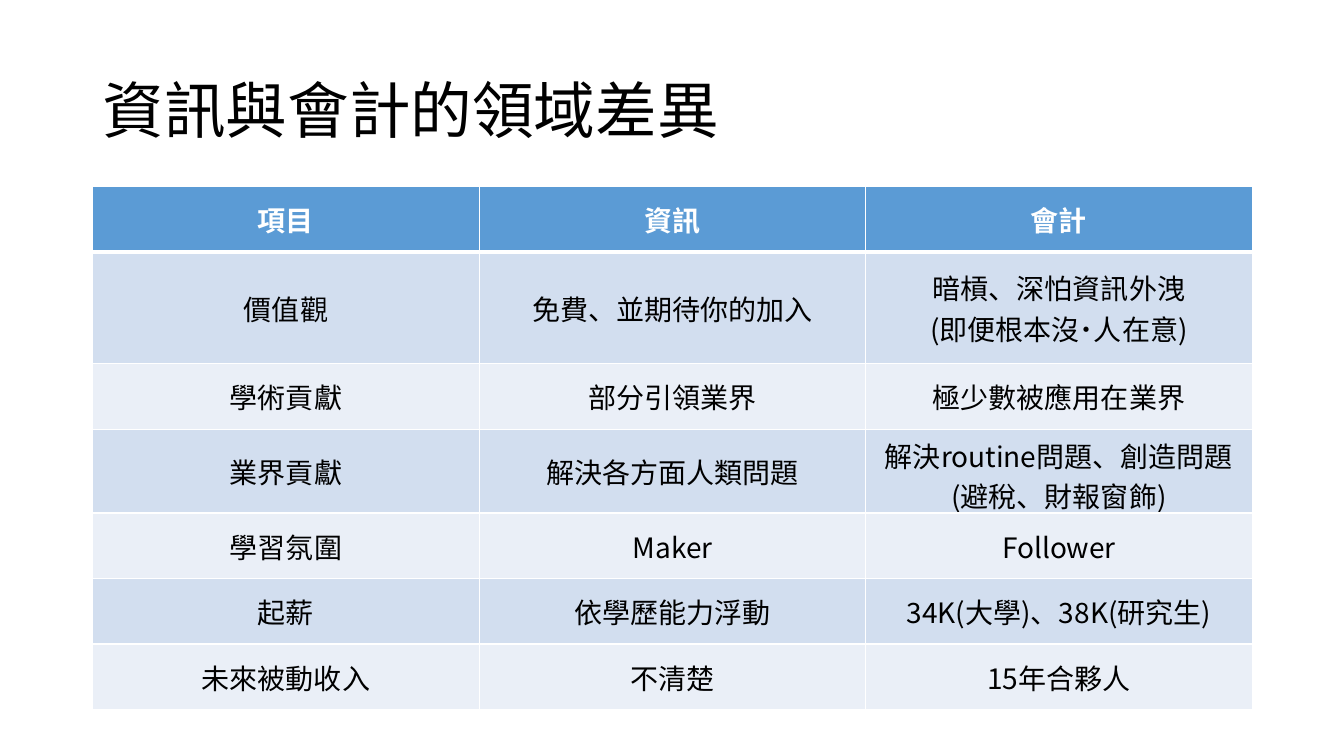
from lxml import etree
from pptx import Presentation
from pptx.dml.color import RGBColor
from pptx.enum import text
from pptx.oxml import ns
from pptx.util import Inches, Pt

TITLE = "資訊與會計的領域差異"
ROWS = [
    ("項目", "資訊", "會計"),
    ("價值觀", "免費、並期待你的加入", "暗槓、深怕資訊外洩\n(即便根本沒˙人在意)"),
    ("學術貢獻", "部分引領業界", "極少數被應用在業界"),
    ("業界貢獻", "解決各方面人類問題", "解決routine問題、創造問題(避稅、財報窗飾)"),
    ("學習氛圍", "Maker", "Follower"),
    ("起薪", "依學歷能力浮動", "34K(大學)、38K(研究生)"),
    ("未來被動收入", "不清楚", "15年合夥人"),
]
HEIGHTS = [0.65, 1.11, 0.65, 0.83, 0.65, 0.65, 0.65]
LEFT, WIDTH = 0.92, 11.5
FONT = "Noto Sans CJK SC"
COLORS = {
    "head": "5B9BD5",
    "odd": "D2DEEF",
    "even": "EAEFF7",
    "white": "FFFFFF",
    "black": "000000",
}


def write(frame, words, size=20, color="black", bold=False, align="LEFT", space=1.0):
    frame.word_wrap = True
    para = frame.paragraphs[0]
    para.alignment = getattr(text.PP_ALIGN, align)
    para.line_spacing = space
    for i, line in enumerate(words.split("\n")):
        if i:
            para.add_line_break()
        run = para.add_run()
        run.text = line
        font = run.font
        font.size, font.bold, font.name = Pt(size), bold, FONT
        font.color.rgb = RGBColor.from_string(COLORS[color])
        east = etree.SubElement(run._r.get_or_add_rPr(), ns.qn("a:ea"))
        east.set("typeface", FONT)


def edge(cell, top, bottom):
    props = cell._tc.get_or_add_tcPr()
    sides = [("L", 1), ("R", 1), ("T", top), ("B", bottom)]
    for i, (side, width) in enumerate(sides):
        line = etree.Element(ns.qn("a:ln" + side), w=str(Pt(width)))
        fill = etree.SubElement(line, ns.qn("a:solidFill"))
        etree.SubElement(fill, ns.qn("a:srgbClr"), val=COLORS["white"])
        props.insert(i, line)


def main():
    deck = Presentation()
    deck.slide_width, deck.slide_height = Inches(13.33), Inches(7.5)
    slide = deck.slides.add_slide(deck.slide_layouts[6])

    title = slide.shapes.add_textbox(
        Inches(LEFT), Inches(0.4), Inches(WIDTH), Inches(1.45)
    ).text_frame
    title.vertical_anchor = text.MSO_ANCHOR.MIDDLE
    write(title, TITLE, size=44, space=0.9)

    table = slide.shapes.add_table(
        len(ROWS), len(ROWS[0]), Inches(LEFT), Inches(1.85),
        Inches(WIDTH), Inches(sum(HEIGHTS)),
    ).table
    for r, (row, high) in enumerate(zip(ROWS, HEIGHTS)):
        table.rows[r].height = Inches(high)
        head = r == 0
        shade = "head" if head else "odd" if r % 2 else "even"
        for c, words in enumerate(row):
            cell = table.cell(r, c)
            cell.vertical_anchor = text.MSO_ANCHOR.MIDDLE
            cell.fill.solid()
            cell.fill.fore_color.rgb = RGBColor.from_string(COLORS[shade])
            edge(cell, 3 if r == 1 else 1, 3 if head else 1)
            write(cell.text_frame, words, bold=head, align="CENTER",
                  color="white" if head else "black")

    deck.save("out.pptx")


if __name__ == "__main__":
    main()
